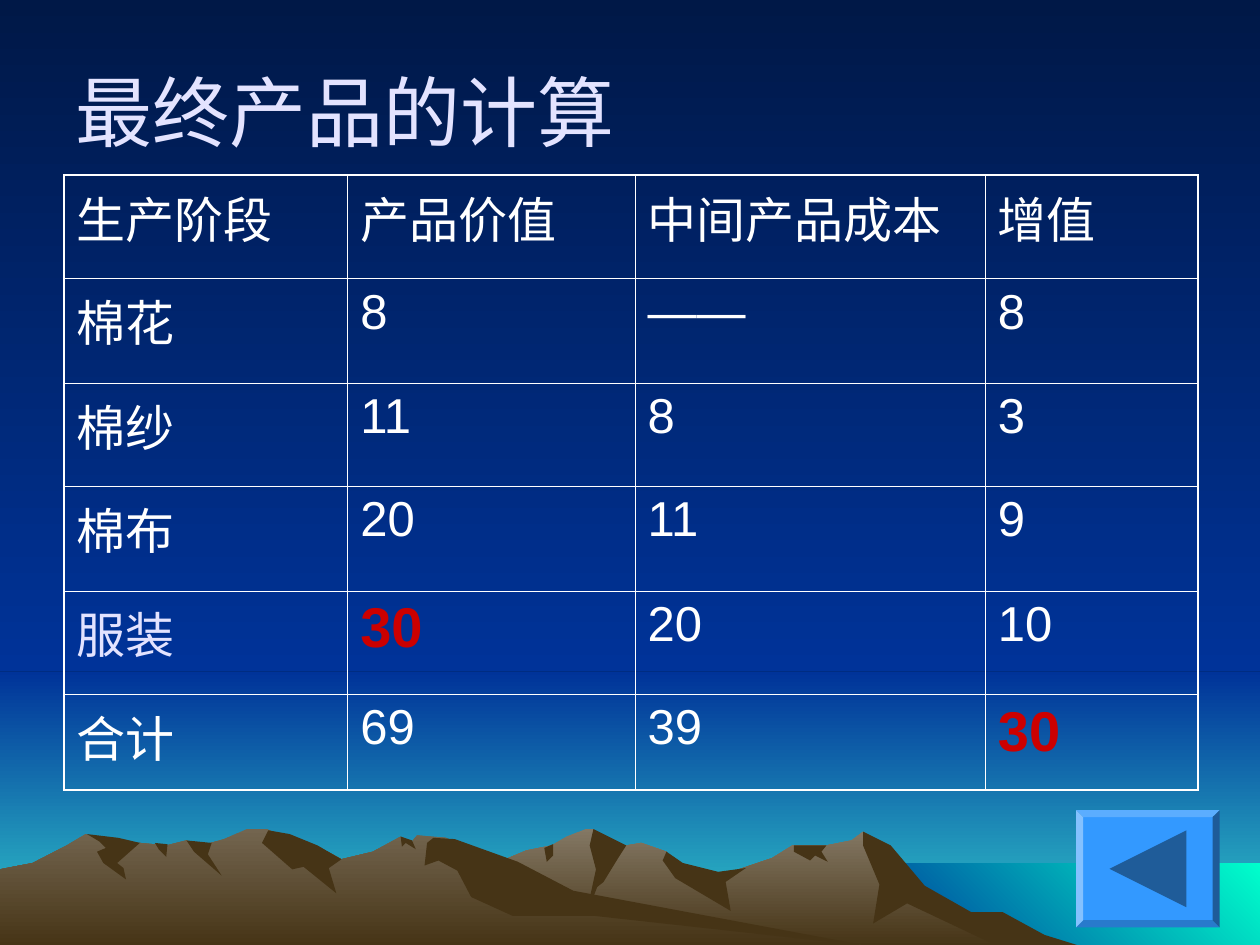
from lxml import etree
from pptx import Presentation
from pptx.dml.color import RGBColor
from pptx.enum.shapes import MSO_SHAPE
from pptx.enum.text import MSO_ANCHOR, PP_ALIGN
from pptx.oxml.ns import qn
from pptx.util import Inches, Pt

RECT, BEVEL = MSO_SHAPE.RECTANGLE, MSO_SHAPE.BEVEL
ARROW = MSO_SHAPE.ISOSCELES_TRIANGLE
LEFT, MIDDLE = PP_ALIGN.LEFT, MSO_ANCHOR.MIDDLE
DOWN, RISING = 270, 45  # gradient directions

NAVY, BLUE, TEAL, MINT = "001847", "003399", "33CCCC", "00FFCC"
ROCK, CLAY, SHADE = "847864", "73654F", "463416"
SKY, DUSK = "3399FF", "1F5C99"
WHITE, PALE, RED = "FFFFFF", "E3E3FF", "CC0000"

WIDE, HIGH = 10, 7.5
GLOW = 5.33  # where the sky turns to glow
SHORE, SEA = 6.83, 6.85  # left and top of the water
BASE = 7.51  # foot of the mountains


def rgb(code):
    return RGBColor.from_string(code)


def paint(item, *codes, turn=DOWN):
    """Fill with one colour, or with a gradient between two."""
    fill = item.fill
    if len(codes) == 1:
        fill.solid()
        fill.fore_color.rgb = rgb(codes[0])
        return
    fill.gradient()
    fill.gradient_angle = turn
    for stop, code, pos in zip(fill.gradient_stops, codes, (0, 1)):
        stop.color.rgb = rgb(code)
        stop.position = pos


prs = Presentation()
prs.slide_width, prs.slide_height = Inches(WIDE), Inches(HIGH)
slide = prs.slides.add_slide(prs.slide_layouts[5])
shapes = slide.shapes
paint(slide.background, NAVY, BLUE)

# Bands that run to the right edge: left, top, bottom, colours, direction
bands = [
    (0, GLOW, HIGH, BLUE, TEAL, DOWN),
    (0, 0, GLOW, NAVY, BLUE, DOWN),
    (SHORE, SEA, HIGH, BLUE, MINT, RISING),
]
for x, top, bottom, start, end, turn in bands:
    band = shapes.add_shape(RECT, Inches(x), Inches(top),
                            Inches(WIDE - x), Inches(bottom - top))
    paint(band, start, end, turn=turn)

# Each range: the light colour, its ridge from left to right, its shaded faces
far_ridge = [
    (2.58, BASE), (2.77, 7.39), (3.27, 7.09), (3.55, 6.98), (3.94, 6.85),
    (4.18, 6.75), (4.38, 6.71), (4.5, 6.64), (4.65, 6.58), (4.71, 6.58),
    (4.86, 6.73), (5.09, 6.69), (5.29, 6.76), (5.36, 6.9), (5.66, 6.97),
    (6.13, 6.81), (6.29, 6.71), (6.56, 6.71), (6.76, 6.67), (6.85, 6.6),
    (7.02, 6.71), (7.23, 6.98), (7.64, 7.23), (7.78, 7.27), (8.21, BASE),
]
far_faces = {
    "east slope": [
        (6.85, 6.6), (7.07, 6.71), (7.34, 7.03), (7.71, 7.24), (7.96, 7.24),
        (8.29, 7.42), (8.58, BASE), (7.92, BASE), (7.2, 7.17), (6.93, 7.33),
        (6.98, 7.02), (6.85, 6.71)],
    "high peak": [
        (4.71, 6.58), (4.97, 6.71), (4.9, 6.82), (4.79, 7), (4.74, 7.04),
        (4.65, 7.27), (4.73, 6.9), (4.68, 6.71)],
    "middle peak": [
        (5.29, 6.76), (5.42, 6.85), (5.7, 6.92), (5.92, 6.89), (5.76, 7),
        (5.8, 7.23), (5.36, 6.97), (5.26, 6.83)],
    "saddle": [
        (6.3, 6.71), (6.56, 6.71), (6.52, 6.76), (6.57, 6.84), (6.47, 6.79),
        (6.43, 6.83), (6.3, 6.76)],
    "notch": [(4.32, 6.73), (4.39, 6.7), (4.39, 6.79), (4.34, 6.84)],
}
near_ridge = [
    (0, 6.9), (0.26, 6.85), (0.53, 6.71), (0.68, 6.62), (0.94, 6.71),
    (1.11, 6.69), (1.32, 6.71), (1.48, 6.67), (1.6, 6.71), (1.78, 6.66),
    (1.96, 6.58), (2.12, 6.58), (2.23, 6.63), (2.36, 6.81), (2.6, 6.76),
    (2.71, 6.82), (2.96, 6.76), (3.18, 6.64), (3.27, 6.68), (3.31, 6.63),
    (3.54, 6.65), (4.32, 7.12), (6.67, 7.48), (6.9, BASE),
]
near_faces = {
    "high peak": [
        (2.13, 6.59), (2.3, 6.62), (2.52, 6.71), (2.71, 6.82), (2.61, 6.89),
        (2.67, 7.09), (2.41, 6.88), (2.32, 6.9), (2.08, 6.69)],
    "east slope": [
        (3.39, 6.69), (3.44, 6.65), (3.61, 6.66), (4.11, 6.84), (4.55, 7.07),
        (6.9, BASE), (4.72, 7.27), (4.07, 7.27), (3.74, 7.12), (3.63, 6.91),
        (3.48, 6.83), (3.37, 6.87)],
    "notch": [
        (3.18, 6.64), (3.27, 6.67), (3.3, 6.74), (3.22, 6.69), (3.19, 6.72)],
    "middle peak": [
        (1.48, 6.67), (1.68, 6.69), (1.65, 6.78), (1.76, 6.95), (1.54, 6.76)],
    "saddle": [(1.23, 6.69), (1.33, 6.7), (1.32, 6.8), (1.26, 6.74)],
    "west peak": [
        (0.69, 6.62), (0.94, 6.65), (1.11, 6.69), (0.93, 6.85), (0.98, 6.89),
        (1, 6.98), (0.82, 6.85), (0.77, 6.76), (0.84, 6.73), (0.79, 6.68)],
}
ranges = [(ROCK, far_ridge, far_faces), (CLAY, near_ridge, near_faces)]
for light, ridge, faces in ranges:
    body = ridge + [(ridge[0][0], BASE)]
    parts = [(body, (light, SHADE))]
    parts += [(face, (SHADE,)) for face in faces.values()]
    for dots, codes in parts:
        dots = [(Inches(x), Inches(y)) for x, y in dots]
        pen = shapes.build_freeform(*dots[0])
        pen.add_line_segments(dots[1:], close=True)
        paint(pen.convert_to_shape(), *codes)

# Back button: a bevelled plate with an arrow in its middle
left, top, width, height, size = 8.54, 6.43, 1.14, 0.93, 0.61
plate = shapes.add_shape(BEVEL, Inches(left), Inches(top),
                         Inches(width), Inches(height))
plate.adjustments[0] = 0.06
paint(plate, SKY)
arrow = shapes.add_shape(ARROW, Inches(left + (width - size) / 2),
                         Inches(top + (height - size) / 2),
                         Inches(size), Inches(size))
arrow.rotation = 270
paint(arrow, DUSK)

for item in shapes:
    if not item.is_placeholder:
        item.shadow.inherit = False
        item.line.fill.background()

# Title, brought in front of the scenery
title = shapes.title
title._element.getparent().append(title._element)
title.left, title.top = Inches(0.5), Inches(0.25)
title.width, title.height = Inches(9), Inches(1.25)
title.text_frame.vertical_anchor = MIDDLE
para = title.text_frame.paragraphs[0]
para.alignment = LEFT
run = para.add_run()
run.text = "最终产品的计算"
run.font.size, run.font.name = Pt(44), "Arial"
run.font.color.rgb = rgb(PALE)

# Table of values by stage
rows = [
    ("生产阶段", "产品价值", "中间产品成本", "增值"),
    ("棉花", "8", "——", "8"),
    ("棉纱", "11", "8", "3"),
    ("棉布", "20", "11", "9"),
    ("服装", "30", "20", "10"),
    ("合计", "69", "39", "30"),
]
tints = {"30": RED, "服装": PALE}
widths = (2.25, 2.28, 2.78, 1.69)
heights = (0.82, 0.83, 0.82, 0.83, 0.82, 0.76)
table = shapes.add_table(len(rows), len(widths), Inches(0.51), Inches(1.39),
                         Inches(sum(widths)), Inches(sum(heights))).table
table.first_row = table.horz_banding = False
for col, width in zip(table.columns, widths):
    col.width = Inches(width)
for row, height in zip(table.rows, heights):
    row.height = Inches(height)

for i, row in enumerate(rows):
    for j, text in enumerate(row):
        cell = table.cell(i, j)
        props = cell._tc.get_or_add_tcPr()
        outer = {"L": j == 0, "R": j == len(row) - 1,
                 "T": i == 0, "B": i == len(rows) - 1}
        for side, edge in outer.items():
            line = etree.SubElement(props, qn("a:ln" + side),
                                    w=str(Pt(1.08 if edge else 0.45)))
            solid = etree.SubElement(line, qn("a:solidFill"))
            etree.SubElement(solid, qn("a:srgbClr"), val=WHITE)
        cell.fill.background()
        run = cell.text_frame.paragraphs[0].add_run()
        run.text = text
        tint = tints.get(text, WHITE)
        run.font.name, run.font.bold = "Arial", tint == RED
        run.font.size = Pt(32 if tint == RED else 28)
        run.font.color.rgb = rgb(tint)

prs.save("out.pptx")
